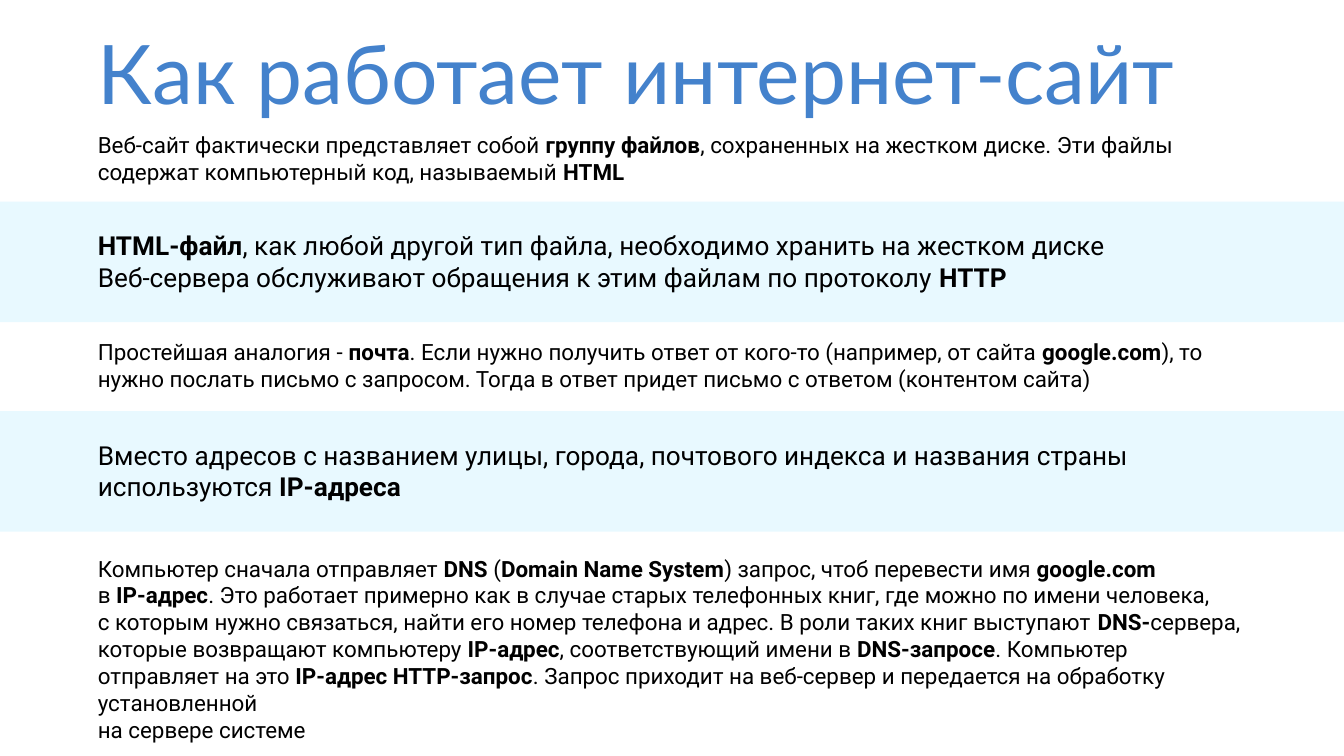
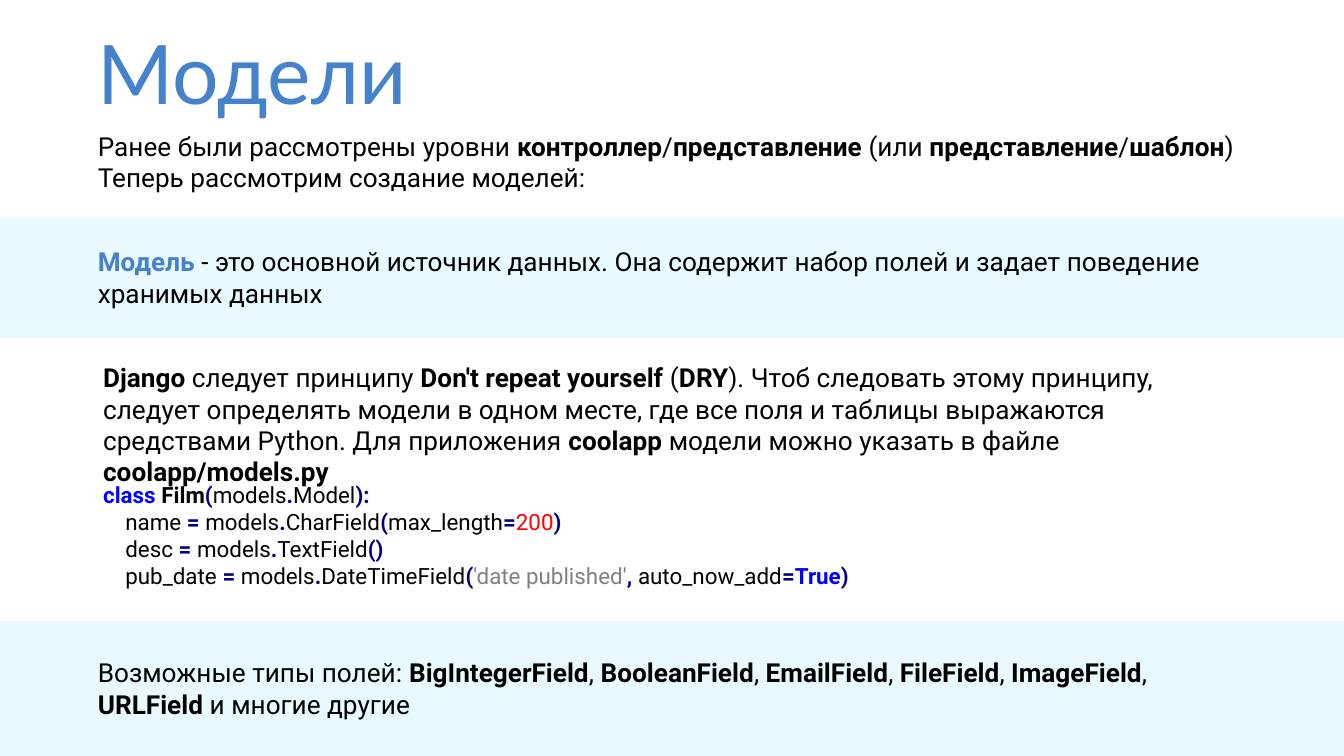
from dataclasses import dataclass

from pptx import Presentation
from pptx.dml.color import RGBColor
from pptx.enum.shapes import MSO_SHAPE
from pptx.enum.text import MSO_AUTO_SIZE
from pptx.slide import Slide
from pptx.util import Cm, Pt

RECTANGLE = MSO_SHAPE.RECTANGLE
GROW_TO_FIT = MSO_AUTO_SIZE.SHAPE_TO_FIT_TEXT

SLIDE_WIDTH = 25.4
SLIDE_HEIGHT = 14.29
MARGIN = 1.6
TEXT_WIDTH = 22
BAND_HEIGHT = 2.28

TITLE_FONT = "Lato"
BODY_FONT = "Roboto"
TITLE_SIZE = 44
LARGE = 14
SMALL = 12

ACCENT = "4482CC"
BAND = "E8F9FF"
BLACK = "000000"
KEYWORD = "0000FF"
OPERATOR = "000080"
NUMBER = "FF0000"
STRING = "808080"

OPERATOR_SIGNS = set("=.,:()")


@dataclass(frozen=True)
class Fragment:
    text: str
    color: str = BLACK
    bold: bool = False


CODE_FRAGMENTS = {
    fragment.text: fragment
    for fragment in (
        Fragment("class ", KEYWORD, True),
        Fragment("Film", BLACK, True),
        Fragment("True", KEYWORD, True),
        Fragment("200", NUMBER),
        Fragment("'date published'", STRING),
    )
}


@dataclass(frozen=True)
class Band:
    top: float
    height: float = BAND_HEIGHT


@dataclass(frozen=True)
class TextBlock:
    lines: tuple[str, ...]
    top: float
    height: float
    size: int = LARGE
    left: float = MARGIN
    width: float = TEXT_WIDTH
    font: str = BODY_FONT
    color: str = BLACK
    bold_color: str = BLACK
    is_code: bool = False


@dataclass(frozen=True)
class Page:
    title: str
    title_width: float
    bands: tuple[Band, ...]
    blocks: tuple[TextBlock, ...]


PAGES = (
    Page(
        "Как работает интернет-сайт",
        22.28,
        (Band(3.81), Band(7.77)),
        (
            TextBlock(
                (
                    "Веб-сайт фактически представляет собой *группу файлов*, "
                    "сохраненных на жестком диске. Эти файлы содержат "
                    "компьютерный код, называемый *HTML*",
                ),
                2.36, 1.27, SMALL,
            ),
            TextBlock(
                (
                    "*HTML-файл*, как любой другой тип файла, необходимо "
                    "хранить на жестком диске",
                    "Веб-сервера обслуживают обращения к этим файлам "
                    "по протоколу *HTTP*",
                ),
                4.22, 1.45,
            ),
            TextBlock(
                (
                    "Простейшая аналогия - *почта*. Если нужно получить ответ "
                    "от кого-то (например, от сайта *google.com*), то нужно "
                    "послать письмо с запросом. Тогда в ответ придет письмо "
                    "с ответом (контентом сайта)",
                ),
                6.27, 1.27, SMALL, width=22.28,
            ),
            TextBlock(
                (
                    "Вместо адресов с названием улицы, города, почтового "
                    "индекса и названия страны используются *IP-адреса*",
                ),
                8.18, 1.45, width=22.2,
            ),
            TextBlock(
                (
                    "Компьютер сначала отправляет *DNS* (*Domain Name System*) "
                    "запрос, чтоб перевести имя *google.com*",
                    "в *IP-адрес*. Это работает примерно как в случае старых "
                    "телефонных книг, где можно по имени человека,",
                    "с которым нужно связаться, найти его номер телефона "
                    "и адрес. В роли таких книг выступают *DNS-*сервера, "
                    "которые возвращают компьютеру *IP-адрес*, соответствующий "
                    "имени в *DNS-запросе*. Компьютер отправляет на это "
                    "*IP-адрес HTTP-запрос*. Запрос приходит на веб-сервер "
                    "и передается на обработку установленной",
                    "на сервере системе",
                ),
                10.36, 3.33, SMALL, width=22.28,
            ),
        ),
    ),
    Page(
        "Модели",
        23.22,
        (Band(4.11), Band(11.74, SLIDE_HEIGHT - 11.74)),
        (
            TextBlock(
                (
                    "Ранее были рассмотрены уровни *контроллер*/*представление* "
                    "(или *представление*/*шаблон*) Теперь рассмотрим "
                    "создание моделей:",
                ),
                2.34, 1.45,
            ),
            TextBlock(
                (
                    "*Модель* - это основной источник данных. Она содержит "
                    "набор полей и задает поведение хранимых данных",
                ),
                4.52, 1.45, bold_color=ACCENT,
            ),
            TextBlock(
                (
                    "*Django* следует принципу *Don't repeat yourself *(*DRY*). "
                    "Чтоб следовать этому принципу, следует определять модели "
                    "в одном месте, где все поля и таблицы выражаются "
                    "средствами Python. Для приложения *coolapp *модели можно "
                    "указать в файле *coolapp/models.py*",
                ),
                6.71, 2.06, left=1.7, width=21.9,
            ),
            TextBlock(
                (
                    "class |Film|(|models|.|Model|):",
                    "    name |=| models|.|CharField|(|max_length|=|200|)",
                    "    desc |=| models|.|TextField|()",
                    "    pub_date |=| models|.|DateTimeField|(|'date published'"
                    "|,| auto_now_add|=|True|)",
                ),
                8.97, 2.31, SMALL, left=1.7, width=23.04, is_code=True,
            ),
            TextBlock(
                (
                    "Возможные типы полей: *BigIntegerField*, *BooleanField*, "
                    "*EmailField*, *FileField*, *ImageField*, *URLField* "
                    "и многие другие",
                ),
                12.29, 1.45,
            ),
        ),
    ),
)


def rgb(color: str) -> RGBColor:
    return RGBColor.from_string(color)


def code_fragment(token: str) -> Fragment:
    if set(token) <= OPERATOR_SIGNS:
        return Fragment(token, OPERATOR, True)
    return CODE_FRAGMENTS.get(token, Fragment(token))


def split_line(line: str, block: TextBlock) -> list[Fragment]:
    if block.is_code:
        return [code_fragment(token) for token in line.split("|")]
    return [
        Fragment(part, block.bold_color if index % 2 else block.color, index % 2 == 1)
        for index, part in enumerate(line.split("*"))
        if part
    ]


def draw_band(slide: Slide, band: Band) -> None:
    shape = slide.shapes.add_shape(
        RECTANGLE, Cm(0), Cm(band.top), Cm(SLIDE_WIDTH), Cm(band.height)
    )
    shape.shadow.inherit = False
    shape.fill.solid()
    shape.fill.fore_color.rgb = rgb(BAND)
    shape.line.fill.background()


def draw_text(slide: Slide, block: TextBlock) -> None:
    shape = slide.shapes.add_textbox(
        Cm(block.left), Cm(block.top), Cm(block.width), Cm(block.height)
    )
    text_frame = shape.text_frame
    text_frame.word_wrap = True
    text_frame.auto_size = GROW_TO_FIT
    for index, line in enumerate(block.lines):
        paragraph = text_frame.add_paragraph() if index else text_frame.paragraphs[0]
        for fragment in split_line(line, block):
            run = paragraph.add_run()
            run.text = fragment.text
            run.font.name = block.font
            run.font.size = Pt(block.size)
            run.font.bold = fragment.bold
            run.font.color.rgb = rgb(fragment.color)


def draw_page(slide: Slide, page: Page) -> None:
    for band in page.bands:
        draw_band(slide, band)
    title = TextBlock(
        (page.title,), 0.3, 2.13, TITLE_SIZE,
        width=page.title_width, font=TITLE_FONT, color=ACCENT,
    )
    for block in (title, *page.blocks):
        draw_text(slide, block)


def main() -> None:
    presentation = Presentation()
    presentation.slide_width = Cm(SLIDE_WIDTH)
    presentation.slide_height = Cm(SLIDE_HEIGHT)
    blank_layout = presentation.slide_layouts[6]
    for page in PAGES:
        draw_page(presentation.slides.add_slide(blank_layout), page)
    presentation.save("out.pptx")


if __name__ == "__main__":
    main()
